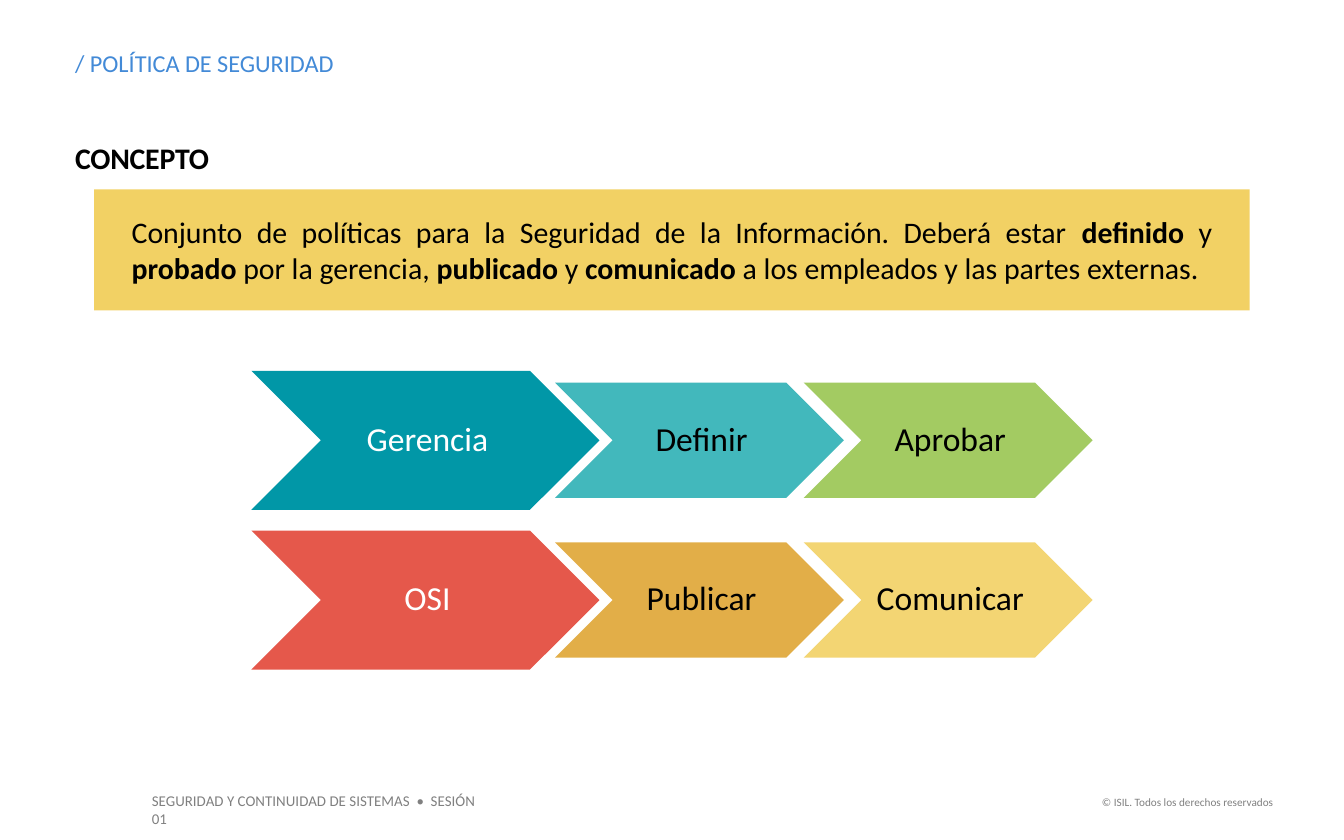
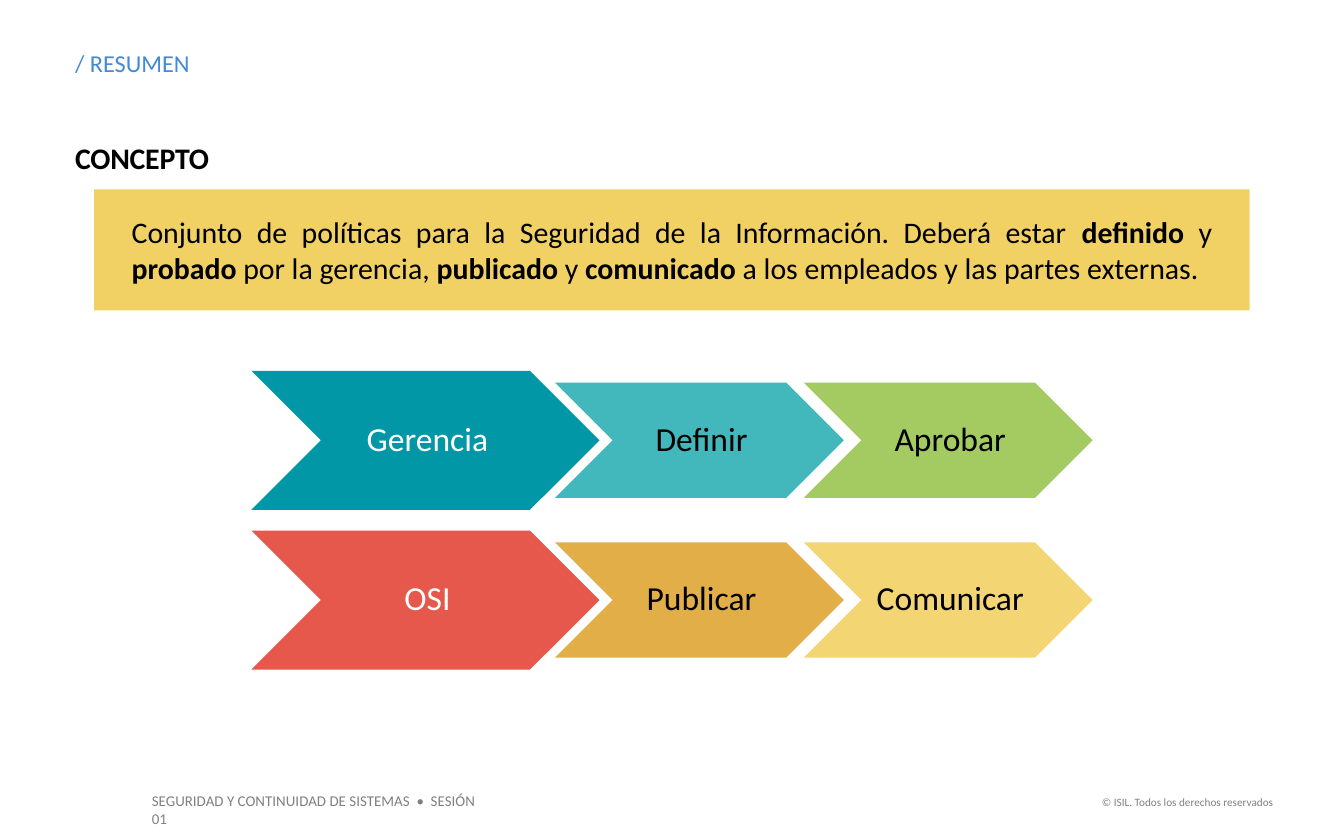
"""Build the two security policy slides, which share one concept layout."""
from dataclasses import dataclass

import lxml.etree
import pptx
import pptx.dml.color
import pptx.enum.shapes
import pptx.enum.text
import pptx.oxml.ns
import pptx.util
from pptx.util import Cm

Align = pptx.enum.text.PP_ALIGN
Anchor = pptx.enum.text.MSO_ANCHOR
Preset = pptx.enum.shapes.MSO_SHAPE


@dataclass(frozen=True)
class Theme:
    font: str = "Calibri"
    title: str = "438AD7"
    text: str = "000000"
    light_text: str = "FFFFFF"
    footer: str = "808080"
    teal: str = "0197A7"
    aqua: str = "2EB1B5"
    green: str = "99C652"
    red: str = "E5584B"
    amber: str = "DFA635"
    yellow: str = "F2D164"
    title_size: float = 13
    body_size: float = 16
    step_size: float = 18
    footer_size: float = 8
    copyright_size: float = 6


@dataclass(frozen=True)
class Box:
    left: float
    top: float
    width: float
    height: float

    def lengths(self) -> tuple:
        return Cm(self.left), Cm(self.top), Cm(self.width), Cm(self.height)


@dataclass(frozen=True)
class Label:
    text: str
    box: Box
    size: float
    color: str
    align: Align = Align.LEFT
    bold: bool = False
    spacing: int = 0
    insets: tuple = (0, 0, 0, 0)


@dataclass(frozen=True)
class Step:
    text: str
    fill: str


THEME = Theme()
FOOTER_INSETS = (0.25, 0.13, 0.25, 0.13)
LABELS = (
    Label("SEGURIDAD Y CONTINUIDAD DE SISTEMAS  •  SESIÓN 01", Box(2.62, 14.83, 6.96, 0.61),
          THEME.footer_size, THEME.footer, insets=FOOTER_INSETS),
    Label("© ISIL. Todos los derechos reservados", Box(20.5, 14.91, 3.81, 0.51),
          THEME.copyright_size, THEME.footer, Align.RIGHT, insets=FOOTER_INSETS),
    Label("CONCEPTO", Box(1.42, 2.64, 22.68, 0.69),
          THEME.body_size, THEME.text, bold=True, spacing=-10),
)
TITLE_BOX = Box(1.42, 0.91, 11.71, 0.56)
CONCEPT_BOX = Box(1.78, 3.58, 21.84, 2.29)
CONCEPT = (
    ("Conjunto de políticas para la Seguridad de la Información. Deberá estar ", False),
    ("definido", True), (" y ", False), ("probado", True),
    (" por la gerencia, ", False), ("publicado", True), (" y ", False),
    ("comunicado", True), (" a los empleados y las partes externas.", False),
)
PROCESSES = (
    (Step("Gerencia", THEME.teal), Step("Definir", THEME.aqua), Step("Aprobar", THEME.green)),
    (Step("OSI", THEME.red), Step("Publicar", THEME.amber), Step("Comunicar", THEME.yellow)),
)
LEAD_BOX = Box(4.75, 7.01, 6.58, 2.63)
STEP_LEFT, STEP_PITCH, STEP_WIDTH, STEP_HEIGHT = 10.49, 4.7, 5.46, 2.18
ROW_PITCH = 3.02
STEP_OPACITY = 90
TITLES = ("/ POLÍTICA DE SEGURIDAD", "/ RESUMEN")


def rgb(color: str) -> pptx.dml.color.RGBColor:
    return pptx.dml.color.RGBColor.from_string(color)


def format_frame(frame, insets: tuple, anchor=Anchor.TOP) -> None:
    frame.word_wrap = True
    frame.auto_size = pptx.enum.text.MSO_AUTO_SIZE.NONE
    frame.vertical_anchor = anchor
    frame.margin_left, frame.margin_top, frame.margin_right, frame.margin_bottom = map(Cm, insets)


def format_paragraph(paragraph, size: float, color: str, align=Align.LEFT, bold=None) -> None:
    paragraph.alignment = align
    font = paragraph.font
    font.name, font.size, font.bold = THEME.font, pptx.util.Pt(size), bold
    font.color.rgb = rgb(color)


def add_label(slide, label: Label) -> None:
    frame = slide.shapes.add_textbox(*label.box.lengths()).text_frame
    format_frame(frame, label.insets)
    paragraph = frame.paragraphs[0]
    paragraph.text = label.text
    format_paragraph(paragraph, label.size, label.color, label.align, label.bold)
    if label.spacing:
        paragraph._p.pPr.find(pptx.oxml.ns.qn("a:defRPr")).set("spc", str(label.spacing))


def add_filled_shape(shapes, preset: Preset, box: Box, color: str, opacity: int = 100):
    shape = shapes.add_shape(preset, *box.lengths())
    shape.shadow.inherit = False
    shape.line.fill.background()
    shape.fill.solid()
    shape.fill.fore_color.rgb = rgb(color)
    if opacity < 100:
        color_element = shape._element.spPr.find(".//" + pptx.oxml.ns.qn("a:srgbClr"))
        alpha = lxml.etree.SubElement(color_element, pptx.oxml.ns.qn("a:alpha"))
        alpha.set("val", str(opacity * 1000))
    return shape


def add_concept(slide) -> None:
    shape = add_filled_shape(slide.shapes, Preset.RECTANGLE, CONCEPT_BOX, THEME.yellow)
    format_frame(shape.text_frame, (0.71,) * 4, Anchor.MIDDLE)
    paragraph = shape.text_frame.paragraphs[0]
    format_paragraph(paragraph, THEME.body_size, THEME.text, Align.JUSTIFY)
    for text, bold in CONCEPT:
        run = paragraph.add_run()
        run.text, run.font.bold = text, bold


def step_box(row: int, column: int) -> Box:
    top = LEAD_BOX.top + row * ROW_PITCH
    if column == 0:
        return Box(LEAD_BOX.left, top, LEAD_BOX.width, LEAD_BOX.height)
    return Box(STEP_LEFT + (column - 1) * STEP_PITCH, top + (LEAD_BOX.height - STEP_HEIGHT) / 2,
               STEP_WIDTH, STEP_HEIGHT)


def add_processes(slide) -> None:
    group = slide.shapes.add_group_shape()
    for row, steps in enumerate(PROCESSES):
        for column, step in enumerate(steps):
            is_lead = column == 0
            shape = add_filled_shape(group.shapes, Preset.CHEVRON, step_box(row, column),
                                     step.fill, 100 if is_lead else STEP_OPACITY)
            format_frame(shape.text_frame, (0.08, 0.03, 0, 0.03), Anchor.MIDDLE)
            paragraph = shape.text_frame.paragraphs[0]
            paragraph.text = step.text
            paragraph.line_spacing = 0.9
            format_paragraph(paragraph, THEME.step_size,
                             THEME.light_text if is_lead else THEME.text, Align.CENTER)


def add_title(slide, text: str) -> None:
    title = slide.shapes.title
    title.left, title.top, title.width, title.height = TITLE_BOX.lengths()
    format_frame(title.text_frame, (0, 0, 0, 0))
    paragraph = title.text_frame.paragraphs[0]
    paragraph.text = text
    format_paragraph(paragraph, THEME.title_size, THEME.title)


def main() -> None:
    presentation = pptx.Presentation()
    presentation.slide_width, presentation.slide_height = Cm(25.4), Cm(15.88)
    title_only = presentation.slide_layouts.get_by_name("Title Only")
    for title in TITLES:
        slide = presentation.slides.add_slide(title_only)
        add_title(slide, title)
        for label in LABELS:
            add_label(slide, label)
        add_concept(slide)
        add_processes(slide)
    presentation.save("out.pptx")


if __name__ == "__main__":
    main()
